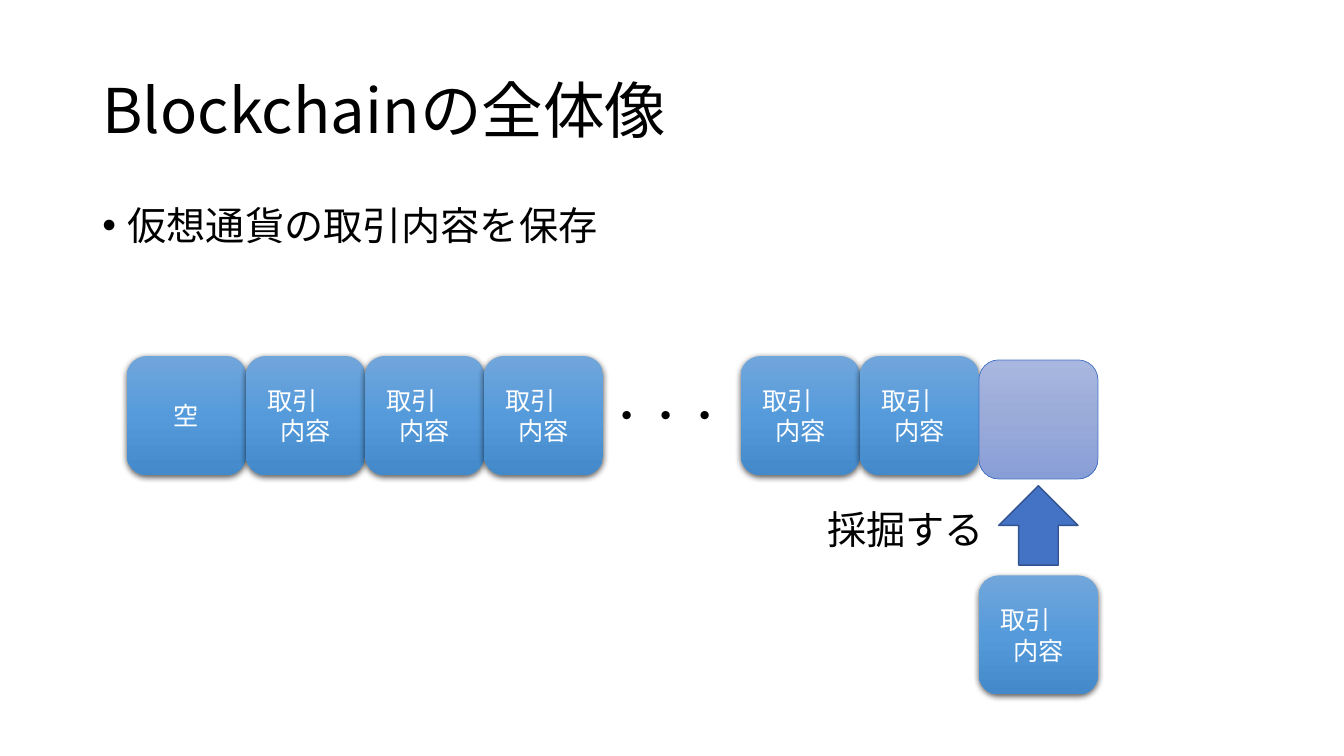
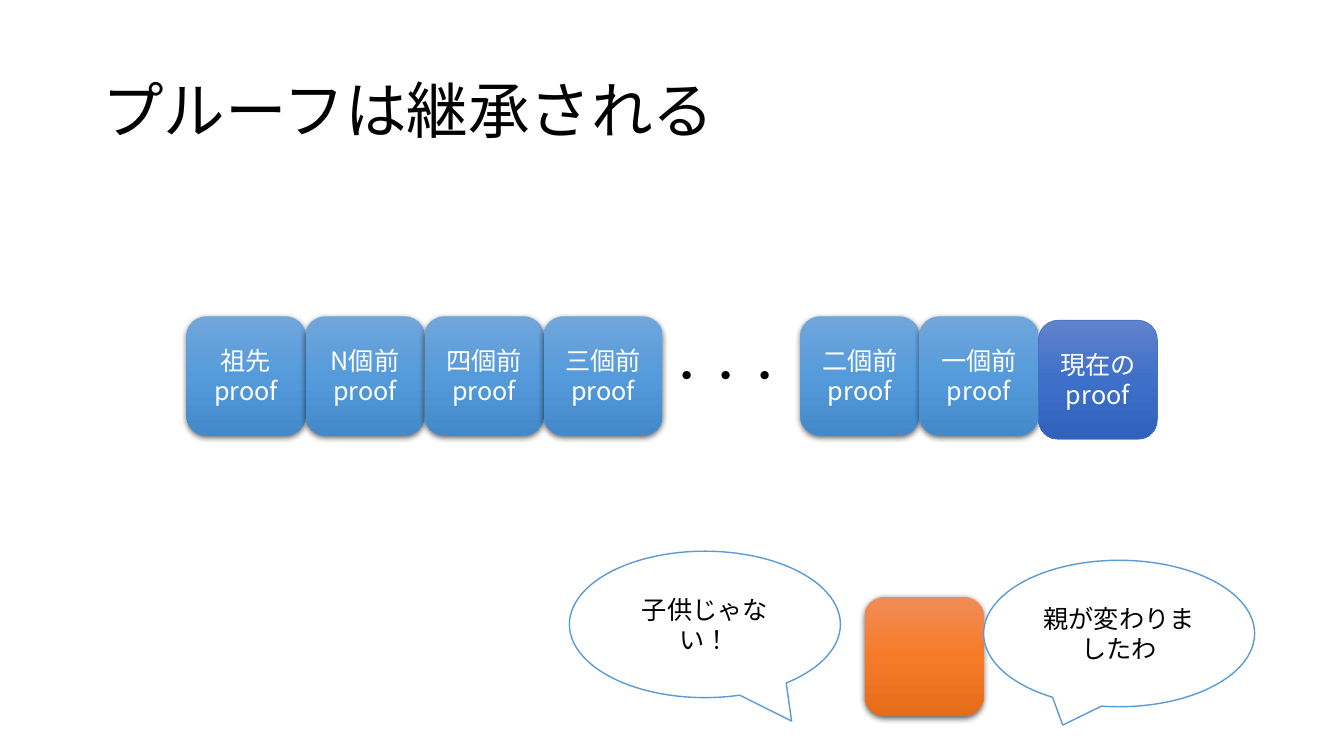
from copy import deepcopy
from dataclasses import dataclass

from lxml import etree
from pptx import Presentation
from pptx import util as u
from pptx.dml.color import RGBColor
from pptx.enum import lang, shapes, text
from pptx.oxml import ns


@dataclass(frozen=True)
class Theme:
    font: str = "Noto Sans CJK JP"
    ink: str = "000000"
    paper: str = "FFFFFF"
    arrow: str = "4472C4"
    arrow_edge: str = "325491"
    bubble_edge: str = "5B9BD5"
    past: tuple = ("71A6DB", "559BDB", "448ACA")
    pending: tuple = ("A8B7DF", "9AABD9", "889ED7")
    current: tuple = ("6183CB", "3E70CA", "3062BB")
    stranger: tuple = ("F18C57", "F67B28", "E56C19")
    title_size: int = 44
    body_size: int = 28
    label_size: int = 18


BLOCK = 3
DOTS_WIDTH = 3.61
DOTS_OVERLAP = 0.14
CURRENT_DROP = 0.1
MARGIN = 2.33
CONTENT_WIDTH = 29.21


class Deck:
    def __init__(self, theme):
        self.theme = theme
        self.prs = Presentation()
        self.prs.slide_width = u.Cm(33.87)
        self.prs.slide_height = u.Cm(19.05)

    def new_slide(self, title):
        slide = self.prs.slides.add_slide(self.prs.slide_layouts[6])
        self.canvas = slide.shapes
        self.label(title, MARGIN, 1.01, CONTENT_WIDTH, 3.68,
                   self.theme.title_size, text.MSO_ANCHOR.MIDDLE, before=0)

    def add_words(self, paragraph, words, size, color):
        run = paragraph.add_run()
        run.text = words
        run.font.size = u.Pt(size)
        run.font.color.rgb = RGBColor.from_string(color)
        run.font.name = self.theme.font
        run.font.language_id = lang.MSO_LANGUAGE_ID.JAPANESE
        east_asian = etree.SubElement(run._r.get_or_add_rPr(), ns.qn("a:ea"))
        east_asian.set("typeface", self.theme.font)

    def label(self, words, left, top, width, height, size=None,
              anchor=text.MSO_ANCHOR.TOP, before=10):
        box = self.canvas.add_textbox(u.Cm(left), u.Cm(top), u.Cm(width), u.Cm(height))
        frame = box.text_frame
        frame.word_wrap = True
        frame.vertical_anchor = anchor
        paragraph = frame.paragraphs[0]
        paragraph.line_spacing = 0.9
        paragraph.space_before = u.Pt(before)
        self.add_words(paragraph, words, size or self.theme.body_size, self.theme.ink)
        return paragraph

    def bullet(self, words, left, top, width, height):
        properties = self.label(words, left, top, width, height)._p.get_or_add_pPr()
        indent = u.Cm(0.64)
        properties.set("marL", str(indent))
        properties.set("indent", str(-indent))
        etree.SubElement(properties, ns.qn("a:buFont")).set("typeface", "Arial")
        etree.SubElement(properties, ns.qn("a:buChar")).set("char", "•")

    def figure(self, kind, left, top, width, height, fill=None, edge=None,
               edge_width=1, lines=(), color=None):
        figure = self.canvas.add_shape(kind, u.Cm(left), u.Cm(top), u.Cm(width), u.Cm(height))
        figure.shadow.inherit = False
        if fill:
            figure.fill.solid()
            figure.fill.fore_color.rgb = RGBColor.from_string(fill)
        if edge:
            figure.line.color.rgb = RGBColor.from_string(edge)
            figure.line.width = u.Pt(edge_width)
        else:
            figure.line.fill.background()
        frame = figure.text_frame
        frame.vertical_anchor = text.MSO_ANCHOR.MIDDLE
        for index, words in enumerate(lines):
            paragraph = frame.add_paragraph() if index else frame.paragraphs[0]
            paragraph.alignment = text.PP_ALIGN.CENTER
            self.add_words(paragraph, words, self.theme.label_size, color)
        return figure

    def block(self, left, top, colors, lines=(), edge=None):
        block = self.figure(shapes.MSO_SHAPE.FLOWCHART_ALTERNATE_PROCESS, left, top,
                            BLOCK, BLOCK, edge=edge, edge_width=0.5,
                            lines=lines, color=self.theme.paper)
        self.shade(block, colors)
        if not edge:
            self.drop_shadow(block)

    def shade(self, figure, colors):
        figure.fill.gradient()
        figure.fill.gradient_angle = 270
        stop_list = figure._element.spPr.find(ns.qn("a:gradFill")).find(ns.qn("a:gsLst"))
        stop_list.insert(1, deepcopy(stop_list[0]))
        for stop, color, position in zip(figure.fill.gradient_stops, colors, (0, 0.5, 1)):
            stop.color.rgb = RGBColor.from_string(color)
            stop.position = position

    def drop_shadow(self, figure):
        effects = figure._element.spPr.find(ns.qn("a:effectLst"))
        shadow = etree.SubElement(effects, ns.qn("a:outerShdw"), blurRad=str(u.Pt(4.5)),
                                  dist=str(u.Pt(1.5)), dir="5400000",
                                  algn="ctr", rotWithShape="0")
        tone = etree.SubElement(shadow, ns.qn("a:srgbClr"), val=self.theme.ink)
        etree.SubElement(tone, ns.qn("a:alpha"), val="63000")

    def chain(self, left, top, early, late, newest_colors, newest_lines=()):
        slide_canvas = self.canvas
        self.canvas = slide_canvas.add_group_shape().shapes
        dots_left = left + len(early) * BLOCK - DOTS_OVERLAP
        late_left = dots_left + DOTS_WIDTH
        for start, links in ((left, early), (late_left, late)):
            for index, lines in enumerate(links):
                self.block(start + index * BLOCK, top, self.theme.past, lines)
        self.label("・・・", dots_left, top + 0.9, DOTS_WIDTH, 1.47)
        newest_left = late_left + len(late) * BLOCK
        self.block(newest_left, top + CURRENT_DROP, newest_colors, newest_lines,
                   edge=self.theme.arrow)
        self.canvas = slide_canvas
        return newest_left

    def up_arrow(self, left, top, side):
        self.figure(shapes.MSO_SHAPE.UP_ARROW, left, top, side, side,
                    self.theme.arrow, self.theme.arrow_edge)

    def bubble(self, words, left, top, tail=()):
        bubble = self.figure(shapes.MSO_SHAPE.OVAL_CALLOUT, left, top, 6.83, 3.69,
                             self.theme.paper, self.theme.bubble_edge,
                             lines=[words], color=self.theme.ink)
        for index, value in enumerate(tail):
            bubble.adjustments[index] = value


def overview_slide(deck):
    trade = ["取引　内容"]
    deck.new_slide("Blockchainの全体像")
    deck.bullet("仮想通貨の取引内容を保存", MARGIN, 5.08, CONTENT_WIDTH, 3.22)
    mined_left = deck.chain(3.2, 8.97, [["空"]] + [trade] * 3, [trade] * 2,
                            deck.theme.pending)
    deck.block(mined_left, 14.5, deck.theme.past, trade)
    arrow_side = 2
    arrow_left = mined_left + (BLOCK - arrow_side) / 2
    deck.up_arrow(arrow_left, 12.24, arrow_side)
    caption_width = 4.57
    deck.label("採掘する", arrow_left - caption_width, 12.75, caption_width, 1.47)


def inheritance_slide(deck):
    ancestors = [["祖先", "proof"]] + [[f"{age}個前proof"] for age in "N四三"]
    parents = [[f"{age}個前proof"] for age in "二一"]
    deck.new_slide("プルーフは継承される")
    deck.chain(4.7, 7.97, ancestors, parents, deck.theme.current, ["現在のproof"])
    stranger_left = 21.79
    deck.block(stranger_left, 15.04, deck.theme.stranger)
    deck.bubble("親が変わりましたわ", stranger_left + BLOCK, 14.12)
    deck.bubble("子供じゃない！", 14.35, 13.89, tail=(0.32, 0.66))


def main():
    deck = Deck(Theme())
    overview_slide(deck)
    inheritance_slide(deck)
    deck.prs.save("out.pptx")


if __name__ == "__main__":
    main()
